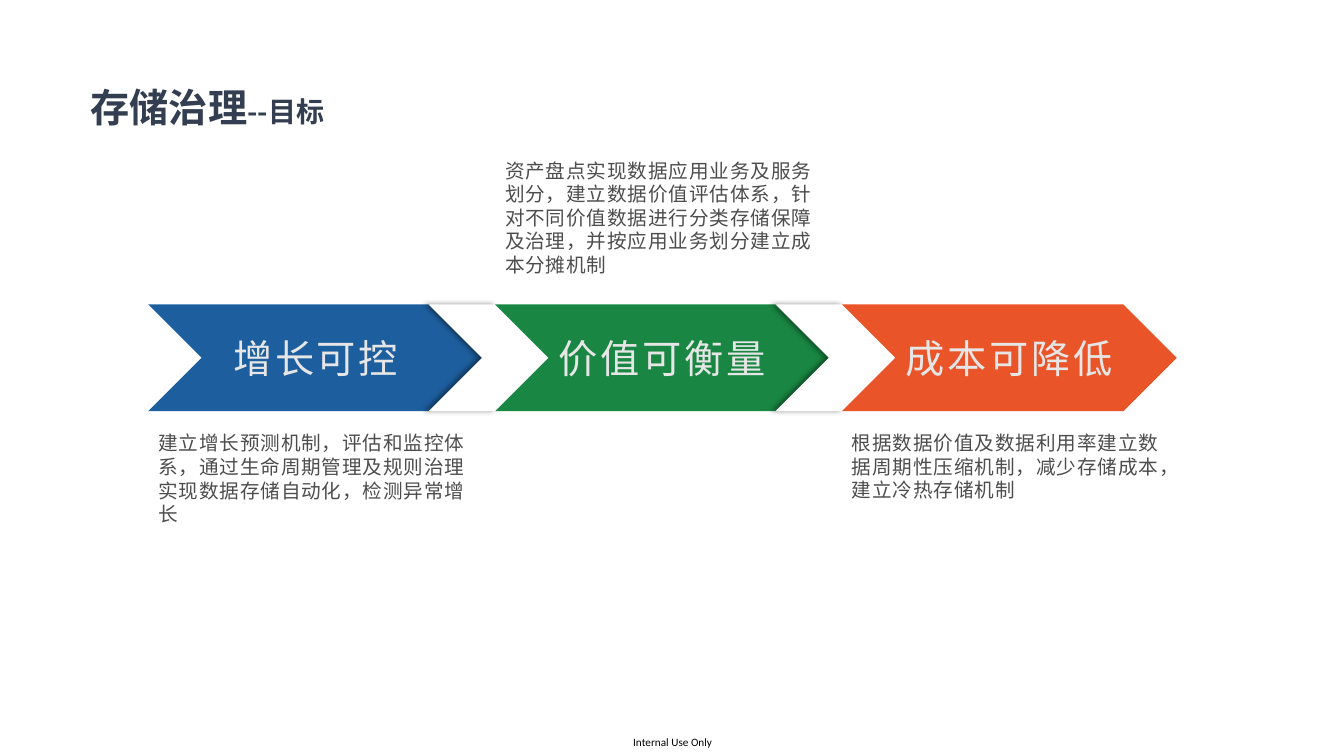
from dataclasses import dataclass

from lxml.etree import SubElement
from pptx import Presentation
from pptx.dml.color import RGBColor
from pptx.enum.shapes import MSO_SHAPE
from pptx.enum.text import MSO_ANCHOR, PP_ALIGN
from pptx.oxml.ns import qn
from pptx.shapes.autoshape import Shape
from pptx.slide import Slide
from pptx.text.text import _Run
from pptx.util import Emu, Inches, Pt

BLUE = RGBColor(0x1D, 0x5E, 0x9E)
GREEN = RGBColor(0x19, 0x87, 0x43)
ORANGE = RGBColor(0xEA, 0x54, 0x29)
WHITE = RGBColor(0xFF, 0xFF, 0xFF)
PALE = RGBColor(0xE7, 0xE6, 0xE6)
GRAY = RGBColor(0x4D, 0x4D, 0x4D)
NAVY = RGBColor(0x33, 0x3F, 0x50)
BLACK = RGBColor(0, 0, 0)
SANS = "Noto Sans CJK SC"
WIDTH, HEIGHT = Inches(13.33), Inches(7.5)
LEFT, PITCH, SPAN = 11.03, 25.81, 24.91
BAND, TALL = 40.27, 14.13
GAP, NOTCH = 20.86, 9.0


@dataclass
class Box:
    left: float
    top: float
    width: float
    height: float

    def place(self) -> tuple[Emu, Emu, Emu, Emu]:
        return (Emu(int(WIDTH * self.left / 100)), Emu(int(HEIGHT * self.top / 100)),
                Emu(int(WIDTH * self.width / 100)), Emu(int(HEIGHT * self.height / 100)))


@dataclass
class Goal:
    label: str
    color: RGBColor
    detail: str
    top: float
    height: float
    anchor: MSO_ANCHOR


GOALS = [
    Goal("增长可控", BLUE,
         "建立增长预测机制，评估和监控体系，通过生命周期管理及规则治理实现数据存储自动化，检测异常增长",
         56.4, 16.93, MSO_ANCHOR.TOP),
    Goal("价值可衡量", GREEN,
         "资产盘点实现数据应用业务及服务划分，建立数据价值评估体系，针对不同价值数据进行分类存储保障及治理，并按应用业务划分建立成本分摊机制",
         21.2, 16, MSO_ANCHOR.BOTTOM),
    Goal("成本可降低", ORANGE,
         "根据数据价值及数据利用率建立数据周期性压缩机制，减少存储成本，建立冷热存储机制",
         56.4, 13.07, MSO_ANCHOR.TOP),
]


def style(run: _Run, size: float, color: RGBColor, face: str = SANS,
          bold: bool = False, space: float = 0) -> None:
    run.font.size = Pt(size)
    run.font.bold = bold
    run.font.color.rgb = color
    run.font.name = face
    props = run.font._element
    SubElement(props, qn("a:ea")).set("typeface", face)
    if space:
        props.set("spc", str(int(space * 100)))


def inset(shape: Shape, size: float) -> None:
    frame = shape.text_frame
    frame.margin_left = frame.margin_right = Inches(size)
    frame.margin_top = frame.margin_bottom = Inches(size)


def arrow(slide: Slide, box: Box, color: RGBColor) -> Shape:
    shape = slide.shapes.add_shape(MSO_SHAPE.CHEVRON, *box.place())
    shape.shadow.inherit = False
    shape.fill.solid()
    shape.fill.fore_color.rgb = color
    shape.line.fill.background()
    return shape


def shade(shape: Shape) -> None:
    effects = shape._element.spPr.find(qn("a:effectLst"))
    outer = SubElement(effects, qn("a:outerShdw"), blurRad=str(Pt(4)),
                       dist=str(Pt(3)), dir="10800000", algn="r", rotWithShape="0")
    tint = SubElement(outer, qn("a:srgbClr"), val=str(BLACK))
    SubElement(tint, qn("a:alpha"), val="40000")


def head(slide: Slide) -> None:
    shape = slide.shapes.add_textbox(*Box(6.3, 10, 85.9, 8.4).place())
    inset(shape, 0.06)
    frame = shape.text_frame
    frame.word_wrap = True
    frame.vertical_anchor = MSO_ANCHOR.MIDDLE
    frame.text = "存储治理"
    line = frame.paragraphs[0]
    style(line.runs[0], 28, NAVY, bold=True)
    part = line.add_run()
    part.text = "--目标"
    style(part, 20, NAVY, bold=True)


def foot(slide: Slide) -> None:
    shape = slide.shapes.add_textbox(*Box(47.11, 97.33, 6.08, 1.73).place())
    inset(shape, 0)
    shape.text_frame.word_wrap = False
    shape.text_frame.text = "Internal Use Only"
    style(shape.text_frame.paragraphs[0].runs[0], 8, BLACK, "Calibri")


def banner(slide: Slide, goal: Goal, left: float) -> None:
    shape = arrow(slide, Box(left, BAND, SPAN, TALL), goal.color)
    inset(shape, 0)
    frame = shape.text_frame
    frame.vertical_anchor = MSO_ANCHOR.MIDDLE
    frame.text = goal.label
    line = frame.paragraphs[0]
    line.alignment = PP_ALIGN.CENTER
    style(line.runs[0], 28, PALE, space=2)


def detail(slide: Slide, goal: Goal, left: float) -> None:
    shape = slide.shapes.add_textbox(*Box(left, goal.top, SPAN, goal.height).place())
    frame = shape.text_frame
    frame.word_wrap = True
    frame.vertical_anchor = goal.anchor
    frame.text = goal.detail
    line = frame.paragraphs[0]
    line.line_spacing = 1.0
    line.space_after = Pt(8)
    style(line.runs[0], 14, GRAY, space=0.6)


def main() -> None:
    deck = Presentation()
    deck.slide_width, deck.slide_height = WIDTH, HEIGHT
    slide = deck.slides.add_slide(deck.slide_layouts[6])
    foot(slide)
    head(slide)
    for index, goal in enumerate(GOALS):
        left = LEFT + PITCH * index
        banner(slide, goal, left)
        if index < len(GOALS) - 1:
            shade(arrow(slide, Box(left + GAP, BAND, NOTCH, TALL), WHITE))
    for index, goal in enumerate(GOALS):
        detail(slide, goal, LEFT + PITCH * index)
    deck.save("out.pptx")


if __name__ == "__main__":
    main()
